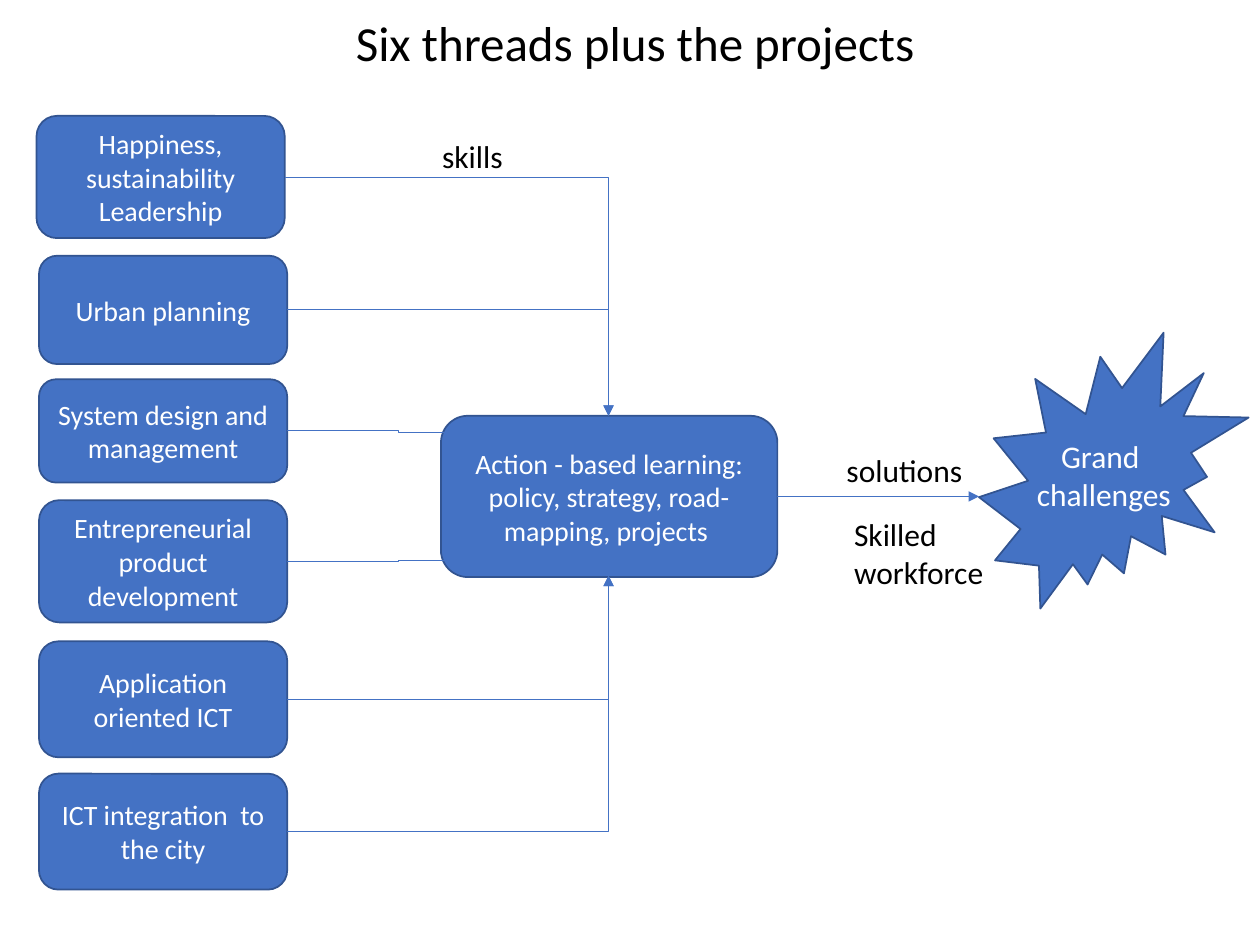
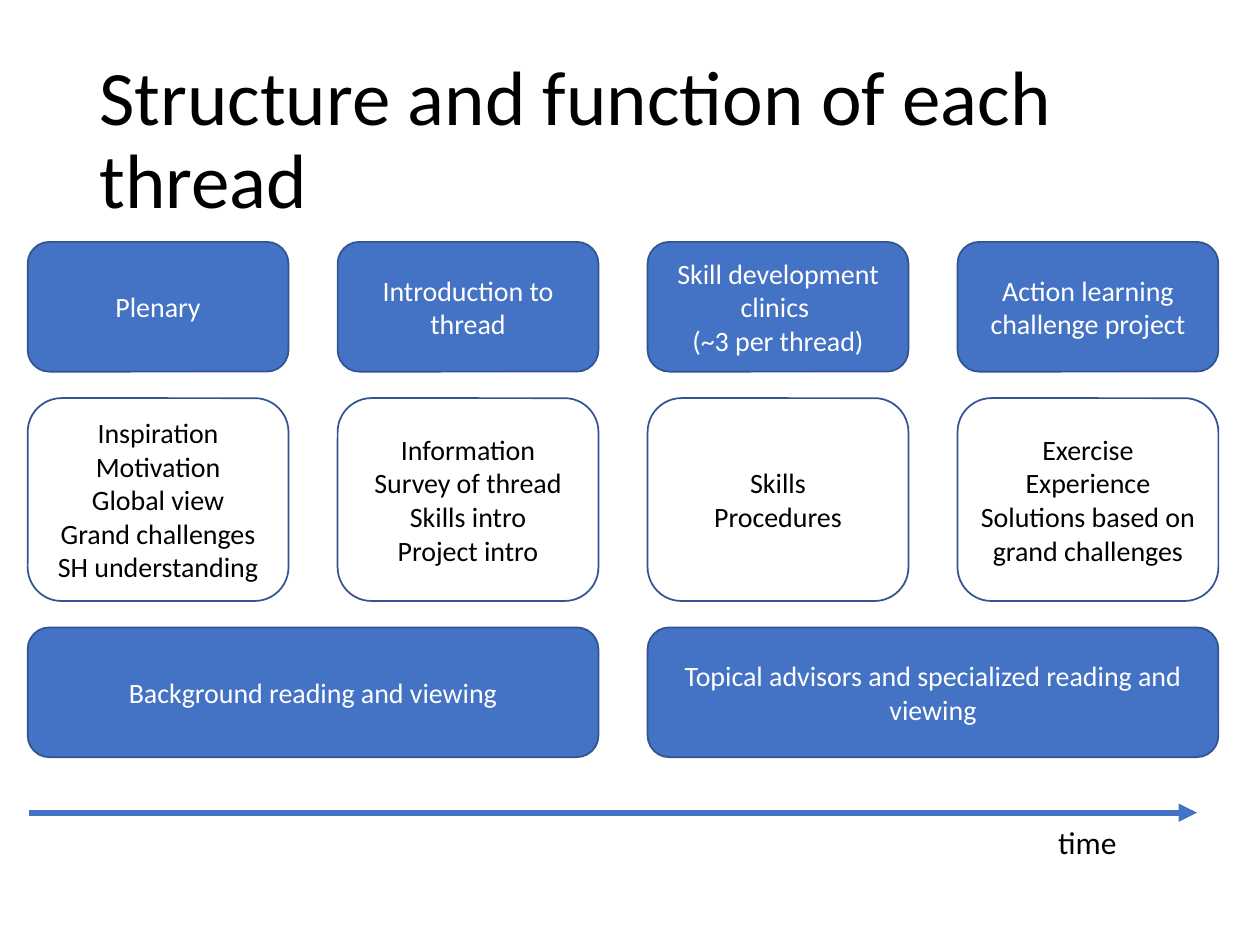
from lxml.etree import SubElement
from pptx import Presentation
from pptx.dml.color import RGBColor
from pptx.enum.shapes import MSO_CONNECTOR, MSO_SHAPE
from pptx.enum.text import MSO_ANCHOR, MSO_AUTO_SIZE, PP_ALIGN
from pptx.oxml.ns import qn
from pptx.util import Inches, Pt

# Shared style
BLUE, BORDER, WHITE, BLACK = "4472C4", "325491", "FFFFFF", "000000"
FONT = "Calibri"
RIGHT_SITE = 3


def color(hex_value):
    return RGBColor.from_string(hex_value)


def set_format(target, values):
    for name, value in values.items():
        setattr(target, name, value)


class SlideBuilder:
    """Holds the style and the slide being filled."""

    def __init__(self, deck):
        self.deck = deck
        self.page = None

    def new_page(self):
        self.page = self.deck.slides.add_slide(self.deck.slide_layouts[6])

    def fill_text(self, shape, text, size, ink, frame_format, para_format):
        frame = shape.text_frame
        set_format(frame, frame_format)
        for index, line in enumerate(text.split("\n")):
            para = frame.paragraphs[0] if index == 0 else frame.add_paragraph()
            set_format(para, para_format)
            span = para.add_run()
            span.text = line
            set_format(span.font, {"name": FONT, "size": Pt(size)})
            span.font.color.rgb = color(ink)

    def text_box(self, place, text, size, frame_format, para_format):
        box = self.page.shapes.add_textbox(*map(Inches, place))
        self.fill_text(box, text, size, BLACK, frame_format, para_format)

    def title(self, place, text, size, align=PP_ALIGN.LEFT):
        self.text_box(place, text, size,
                      {"word_wrap": True, "vertical_anchor": MSO_ANCHOR.MIDDLE},
                      {"alignment": align, "line_spacing": 0.9})

    def label(self, place, text):
        self.text_box(place, text, 18,
                      {"word_wrap": False,
                       "auto_size": MSO_AUTO_SIZE.SHAPE_TO_FIT_TEXT},
                      {"alignment": PP_ALIGN.LEFT})

    def box(self, place, text, filled=True, size=16, wrap=True,
            kind=MSO_SHAPE.ROUNDED_RECTANGLE):
        shape = self.page.shapes.add_shape(kind, *map(Inches, place))
        shape.shadow.inherit = False
        if filled:
            shape.fill.solid()
            shape.fill.fore_color.rgb = color(BLUE)
        else:
            shape.fill.background()
        shape.line.color.rgb = color(BORDER)
        shape.line.width = Pt(1)
        self.fill_text(shape, text, size, WHITE if filled else BLACK,
                       {"word_wrap": wrap, "vertical_anchor": MSO_ANCHOR.MIDDLE},
                       {"alignment": PP_ALIGN.CENTER})
        return shape

    def arrow(self, start, end, width=0.5, kind=MSO_CONNECTOR.ELBOW,
              source=None, single_bend=False):
        connector = self.page.shapes.add_connector(
            kind, *map(Inches, (*start, *end)))
        if source is not None:
            connector.begin_connect(source, RIGHT_SITE)
        connector.line.color.rgb = color(BLUE)
        connector.line.width = Pt(width)
        properties = connector.element.spPr
        if single_bend:
            properties.find(qn("a:prstGeom")).set("prst", "bentConnector2")
        SubElement(properties.find(qn("a:ln")), qn("a:tailEnd"), type="triangle")
        SubElement(properties, qn("a:effectLst"))


deck = Presentation()
deck.slide_width, deck.slide_height = Inches(10), Inches(7.5)
builder = SlideBuilder(deck)

# Slide 1: threads feeding the projects
builder.new_page()
builder.title((0.73, 0.09, 8.62, 0.55), "Six threads plus the projects", 28,
              PP_ALIGN.CENTER)
action = builder.box(
    (3.5, 3.3, 2.67, 1.28),
    "Action - based learning: policy, strategy, road-mapping, projects ")

# Each thread: left, top, height, text, arrow target, single bend
THREAD_WIDTH = 1.97
ABOVE, BELOW = (4.83, 3.3), (4.83, 4.57)
threads = [
    (0.29, 0.92, 0.97, "Happiness, sustainability\nLeadership", ABOVE, True),
    (0.31, 2.03, 0.86, "Urban planning", ABOVE, True),
    (0.31, 3.01, 0.82, "System design and management", (4.04, 3.43), False),
    (0.31, 3.97, 0.97, "Entrepreneurial product development", (4.04, 4.45), False),
    (0.31, 5.09, 0.92, "Application oriented ICT", BELOW, True),
    (0.31, 6.14, 0.92, "ICT integration  to the city", BELOW, True),
]
for left, top, height, text, target, single_bend in threads:
    thread = builder.box((left, top, THREAD_WIDTH, height), text)
    builder.arrow((left + THREAD_WIDTH, top + height / 2), target,
                  source=thread, single_bend=single_bend)

# Outcome
builder.box((7.77, 2.64, 2.14, 2.19), "Grand \nchallenges", size=18,
            wrap=False, kind=MSO_SHAPE.EXPLOSION2)
builder.arrow((6.17, 3.93), (7.77, 3.94), source=action)
builder.label((3.41, 1.04, 0.69, 0.4), "skills")
builder.label((6.62, 3.53, 1.13, 0.4), "solutions")
builder.label((6.68, 4.04, 1.24, 0.71), "Skilled\nworkforce")

# Slide 2: stages of a thread
builder.new_page()
builder.title((0.69, 0.4, 8.62, 1.45), "Structure and function of each thread", 44)

LEFT, TOP, STEP, GAP = 0.22, 1.92, 2.46, 0.21
STAGE_WIDTH, STAGE_HEIGHT, DETAIL_HEIGHT = 2.07, 1.03, 1.61
detail_top = TOP + STAGE_HEIGHT + GAP
support_top = detail_top + DETAIL_HEIGHT + GAP
stages = [
    ("Plenary",
     "Inspiration\nMotivation\nGlobal view\nGrand challenges\nSH understanding"),
    ("Introduction to thread",
     "Information\nSurvey of thread\nSkills intro\nProject intro"),
    ("Skill development clinics \n(~3 per thread)", "Skills\nProcedures"),
    ("Action learning challenge project",
     "Exercise\nExperience\nSolutions based on grand challenges"),
]
for column, (stage, detail) in enumerate(stages):
    left = LEFT + column * STEP
    builder.box((left, TOP, STAGE_WIDTH, STAGE_HEIGHT), stage)
    builder.box((left, detail_top, STAGE_WIDTH, DETAIL_HEIGHT), detail, filled=False)

# Support under each pair of stages
supports = ["Background reading and viewing",
            "Topical advisors and specialized reading and viewing"]
for pair, text in enumerate(supports):
    builder.box((LEFT + pair * 2 * STEP, support_top, STEP + STAGE_WIDTH,
                 STAGE_HEIGHT), text)

# Time axis
builder.arrow((0.23, 6.45), (9.5, 6.45), width=3.5, kind=MSO_CONNECTOR.STRAIGHT)
builder.label((8.3, 6.48, 0.67, 0.4), "time")

deck.save("out.pptx")
